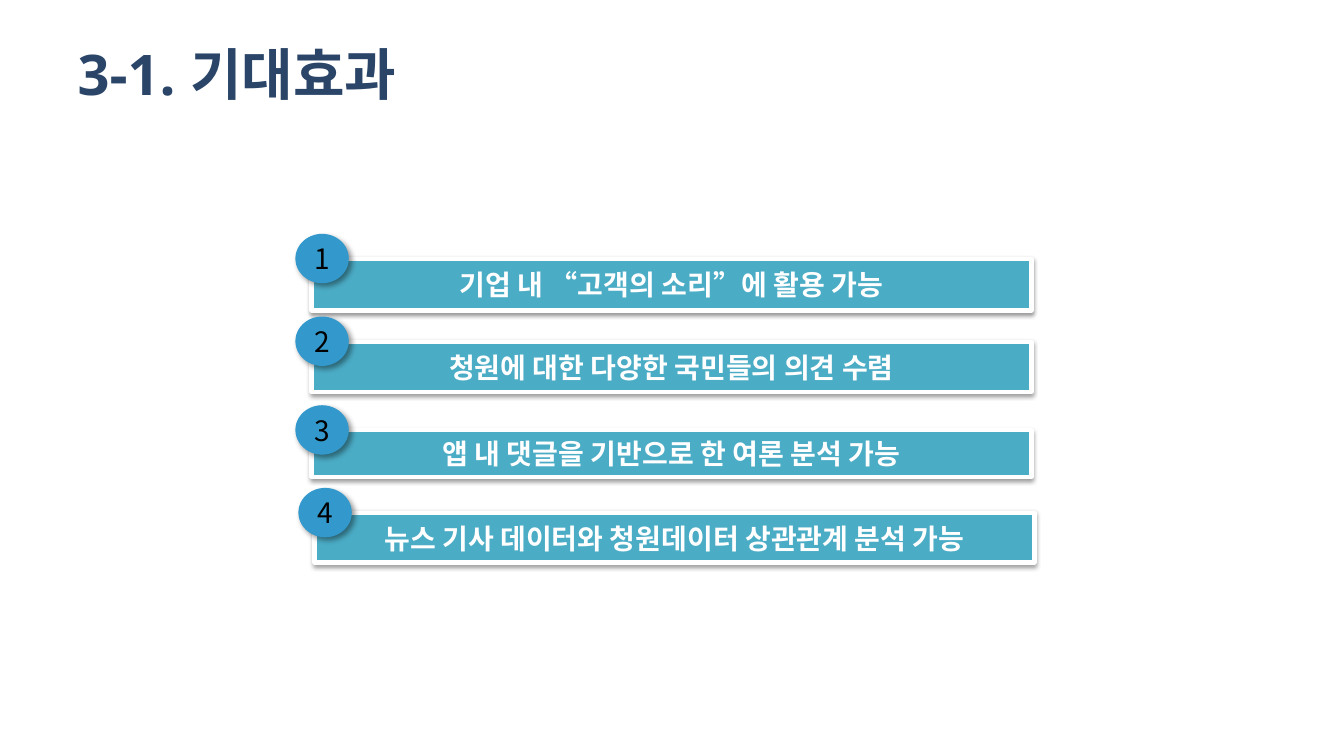
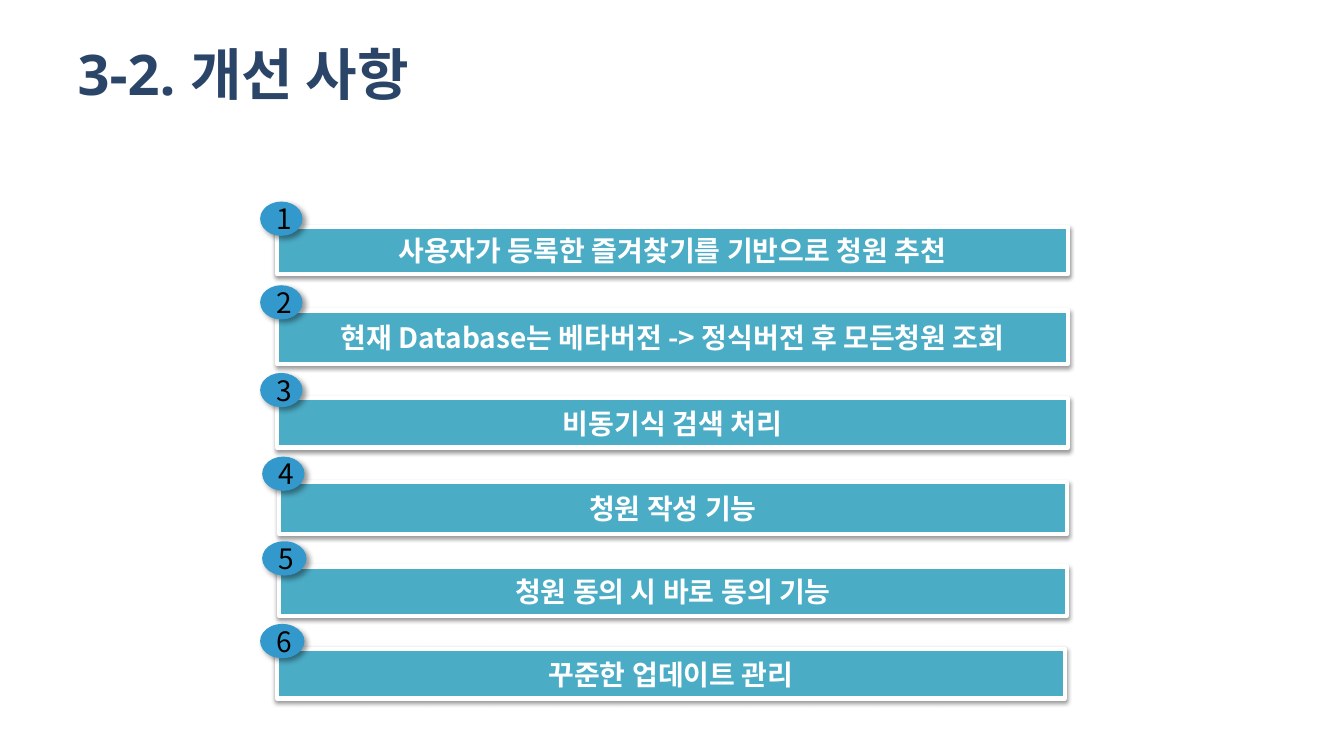
from typing import NamedTuple

from lxml.etree import SubElement
from pptx import Presentation
from pptx.dml.color import RGBColor
from pptx.enum.shapes import MSO_SHAPE
from pptx.enum.text import MSO_ANCHOR, PP_ALIGN
from pptx.oxml.ns import qn
from pptx.util import Inches, Pt

NAVY, TEAL, BLUE, WHITE, BLACK = "2A4568", "4BACC6", "3399CC", "FFFFFF", "000000"
TITLE_FONT, BODY_FONT = "Noto Sans", "Noto Sans CJK KR"
TITLE_BOX = (0.67, 0.29, 12, 0.87)
BADGE_RISE = 0.25


class Item(NamedTuple):
    text: str
    left: float
    top: float
    width: float
    height: float
    badge_width: float


class Topic(NamedTuple):
    title: str
    badge_height: float
    badge_overhang: float
    items: list


TOPICS = [
    Topic("3-1. 기대효과", 0.49, 0.16, [
        Item("기업 내 “고객의 소리”에 활용 가능", 3.09, 2.57, 7.14, 0.51, 0.53),
        Item("청원에 대한 다양한 국민들의 의견 수렴", 3.09, 3.39, 7.14, 0.5, 0.53),
        Item("앱 내 댓글을 기반으로 한 여론 분석 가능", 3.09, 4.27, 7.14, 0.46, 0.53),
        Item("뉴스 기사 데이터와 청원데이터 상관관계 분석 가능", 3.12, 5.09, 7.14, 0.49, 0.53),
    ]),
    Topic("3-2. 개선 사항", 0.34, 0.17, [
        Item("사용자가 등록한 즐겨찾기를 기반으로 청원 추천", 2.75, 2.25, 7.84, 0.47, 0.42),
        Item("현재 Database는 베타버전 -> 정식버전 후 모든청원 조회", 2.75, 3.08, 7.84, 0.53, 0.42),
        Item("비동기식 검색 처리", 2.75, 3.95, 7.84, 0.49, 0.42),
        Item("청원 작성 기능", 2.77, 4.78, 7.81, 0.52, 0.42),
        Item("청원 동의 시 바로 동의 기능", 2.77, 5.62, 7.81, 0.49, 0.44),
        Item("꾸준한 업데이트 관리", 2.75, 6.44, 7.81, 0.49, 0.44),
    ]),
]


def rgb(color):
    return RGBColor.from_string(color)


def write(shape, text, font_name, size, color, bold, align):
    frame = shape.text_frame
    frame.text = text
    frame.word_wrap = True
    frame.vertical_anchor = MSO_ANCHOR.MIDDLE
    paragraph = frame.paragraphs[0]
    paragraph.alignment = align
    font = paragraph.font
    font.name, font.size, font.bold = font_name, Pt(size), bold
    font.color.rgb = rgb(color)


def cast_shadow(shape, opacity, blur, distance, angle):
    """Blur and distance are in points, opacity in percent, angle in degrees."""
    shape.shadow.inherit = False
    effects = shape._element.spPr.find(qn("a:effectLst"))
    outer = SubElement(effects, qn("a:outerShdw"), blurRad=str(Pt(blur)),
                       dist=str(Pt(distance)), dir=str(angle * 60000),
                       algn="t", rotWithShape="0")
    shade = SubElement(outer, qn("a:srgbClr"), val=BLACK)
    SubElement(shade, qn("a:alpha"), val=str(opacity * 1000))


def add_filled(slide, preset, box, fill):
    shape = slide.shapes.add_shape(preset, *map(Inches, box))
    shape.fill.solid()
    shape.fill.fore_color.rgb = rgb(fill)
    return shape


def add_bar(slide, item):
    box = (item.left, item.top, item.width, item.height)
    bar = add_filled(slide, MSO_SHAPE.RECTANGLE, box, TEAL)
    bar.line.color.rgb = rgb(WHITE)
    bar.line.width = Pt(3)
    cast_shadow(bar, 38, 3.1, 1.6, 90)
    write(bar, item.text, BODY_FONT, 20, WHITE, True, PP_ALIGN.CENTER)


def add_badge(slide, number, item, topic):
    box = (item.left - topic.badge_overhang, item.top - BADGE_RISE,
           item.badge_width, topic.badge_height)
    badge = add_filled(slide, MSO_SHAPE.OVAL, box, BLUE)
    badge.line.fill.background()
    cast_shadow(badge, 40, 4, 3, 45)
    write(badge, str(number), BODY_FONT, 20, BLACK, False, PP_ALIGN.CENTER)


def add_topic(deck, layout, topic):
    slide = deck.slides.add_slide(layout)
    title = slide.shapes.title
    title.left, title.top, title.width, title.height = map(Inches, TITLE_BOX)
    write(title, topic.title, TITLE_FONT, 40, NAVY, True, PP_ALIGN.LEFT)
    for number, item in enumerate(topic.items, start=1):
        add_bar(slide, item)
        add_badge(slide, number, item, topic)


def main():
    deck = Presentation()
    deck.slide_width, deck.slide_height = Inches(13.33), Inches(7.5)
    title_only = deck.slide_layouts.get_by_name("Title Only")
    for topic in TOPICS:
        add_topic(deck, title_only, topic)
    deck.save("out.pptx")


if __name__ == "__main__":
    main()
